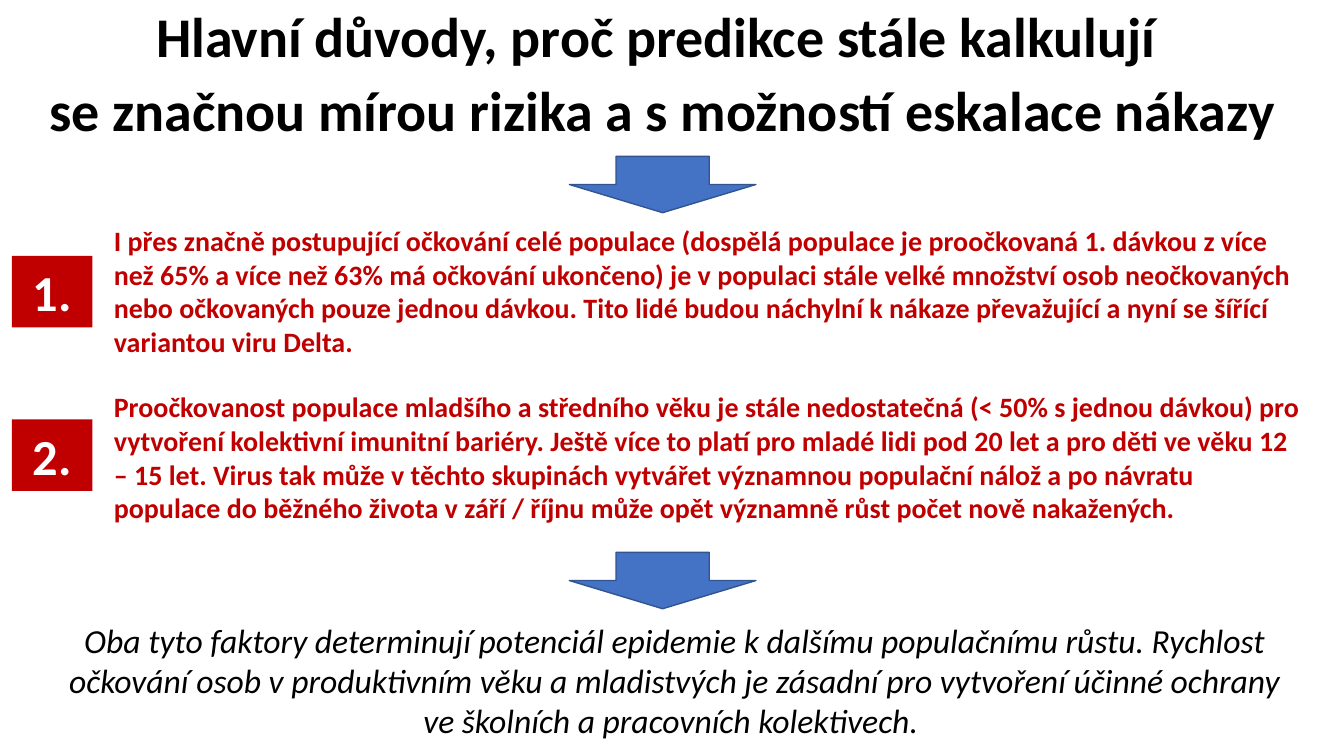
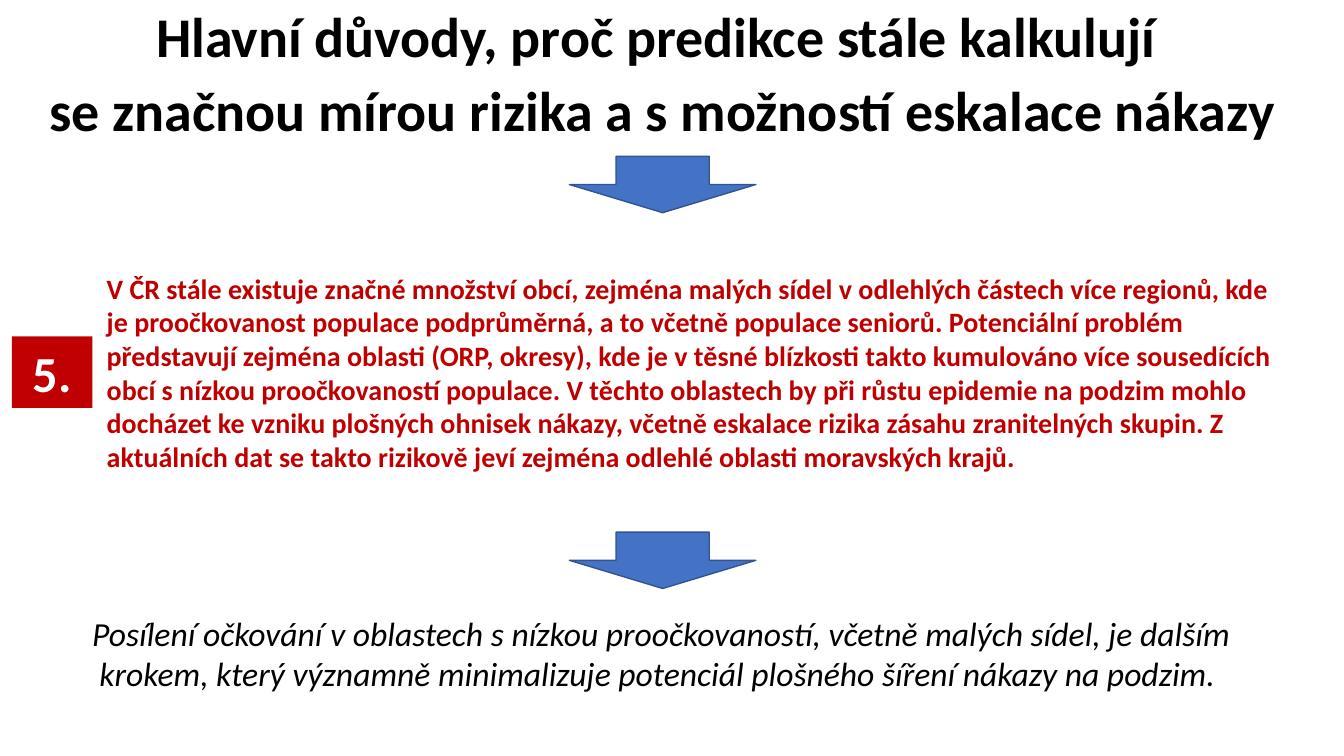
from dataclasses import dataclass

from pptx import Presentation
from pptx import util as u
from pptx.dml.color import RGBColor
from pptx.enum import shapes, text


@dataclass(frozen=True)
class Theme:
    font: str = "Calibri"
    black: RGBColor = RGBColor(0x00, 0x00, 0x00)
    white: RGBColor = RGBColor(0xFF, 0xFF, 0xFF)
    red: RGBColor = RGBColor(0xC0, 0x00, 0x00)
    arrow_fill: RGBColor = RGBColor(0x44, 0x72, 0xC4)
    arrow_line: RGBColor = RGBColor(0x32, 0x54, 0x91)
    title_size: int = 40
    badge_size: int = 36
    conclusion_size: int = 24
    reason_size: int = 20


# Shared wording; a line's final space counts in its centring
TITLE = ("Hlavní důvody, proč predikce stále kalkulují ",
         "se značnou mírou rizika a s možností eskalace nákazy")


class Deck:
    def __init__(self, theme):
        self.theme = theme
        self.prs = Presentation()
        self.prs.slide_width = u.Cm(33.87)
        self.prs.slide_height = u.Cm(19.05)
        self.s = None

    def new_slide(self):
        """Start a slide with the shared title and the arrow below it."""
        self.s = self.prs.slides.add_slide(self.prs.slide_layouts[6])
        self.title()
        self.arrow(3.94)

    def style(self, p, size, color, bold=False, italic=False, centred=True):
        p.alignment = text.PP_ALIGN.CENTER if centred else text.PP_ALIGN.LEFT
        p.font.name = self.theme.font
        p.font.size = u.Pt(size)
        p.font.color.rgb = color
        p.font.bold = bold
        p.font.italic = italic

    def text_box(self, box, lines, size, color, **look):
        tf = self.s.shapes.add_textbox(*map(u.Cm, box)).text_frame
        tf.word_wrap = True
        tf.text = "\n".join(lines)
        for p in tf.paragraphs:
            self.style(p, size, color, **look)
        return tf

    def shape(self, kind, box, fill):
        sp = self.s.shapes.add_shape(kind, *map(u.Cm, box))
        sp.shadow.inherit = False
        sp.fill.solid()
        sp.fill.fore_color.rgb = fill
        return sp

    def title(self):
        tf = self.text_box((0.56, 0.1, 32.26, 3.68), TITLE,
                           self.theme.title_size, self.theme.black, bold=True)
        for i, p in enumerate(tf.paragraphs):
            p.line_spacing = 0.9
            p.space_before = u.Pt(10 if i else 0)

    def arrow(self, top):
        sp = self.shape(shapes.MSO_SHAPE.DOWN_ARROW, (14.35, top, 4.7, 1.42),
                        self.theme.arrow_fill)
        sp.line.color.rgb = self.theme.arrow_line
        sp.line.width = u.Pt(1)

    def badge(self, top, label):
        sp = self.shape(shapes.MSO_SHAPE.RECTANGLE, (0.3, top, 2.03, 1.8),
                        self.theme.red)
        sp.line.fill.background()
        tf = sp.text_frame
        tf.vertical_anchor = text.MSO_ANCHOR.MIDDLE
        tf.text = label
        self.style(tf.paragraphs[0], self.theme.badge_size, self.theme.white,
                   bold=True)

    def reason(self, label, badge_top, left, top, height, words):
        self.badge(badge_top, label)
        self.text_box((left, top, 30.45, height), [words],
                      self.theme.reason_size, self.theme.red,
                      bold=True, centred=False)

    def conclusion(self, arrow_top, box, words):
        self.arrow(arrow_top)
        self.text_box(box, [words], self.theme.conclusion_size,
                      self.theme.black, italic=True)


def main():
    deck = Deck(Theme())

    # Slide 1: vaccination coverage
    deck.new_slide()
    deck.reason(
        "1.", 6.45, 2.62, 5.51, 3.68,
        "I přes značně postupující očkování celé populace (dospělá populace je "
        "proočkovaná 1. dávkou z více než 65% a více než 63% má očkování "
        "ukončeno) je v populaci stále velké množství osob neočkovaných nebo "
        "očkovaných pouze jednou dávkou. Tito lidé budou náchylní k nákaze "
        "převažující a nyní se šířící variantou viru Delta.")
    deck.reason(
        "2.", 10.57, 2.62, 9.7, 3.68,
        "Proočkovanost populace mladšího a středního věku je stále "
        "nedostatečná (< 50% s jednou dávkou) pro vytvoření kolektivní "
        "imunitní bariéry. Ještě více to platí pro mladé lidi pod 20 let a pro "
        "děti ve věku 12 – 15 let. Virus tak může v těchto skupinách vytvářet "
        "významnou populační nálož a po návratu populace do běžného života "
        "v září / říjnu může opět významně růst počet nově nakažených.")
    deck.conclusion(
        13.92, (1.14, 15.49, 31.72, 3.33),
        "Oba tyto faktory determinují potenciál epidemie k dalšímu populačnímu "
        "růstu. Rychlost očkování osob v produktivním věku a mladistvých je "
        "zásadní pro vytvoření účinné ochrany ve školních a pracovních "
        "kolektivech. ")

    # Slide 2: regional differences
    deck.new_slide()
    deck.reason(
        "5.", 8.48, 2.44, 6.71, 5.38,
        "V ČR stále existuje značné množství obcí, zejména malých sídel "
        "v odlehlých částech více regionů, kde je proočkovanost populace "
        "podprůměrná, a to včetně populace seniorů. Potenciální problém "
        "představují zejména oblasti (ORP, okresy), kde je v těsné blízkosti "
        "takto kumulováno více sousedících obcí s nízkou proočkovaností "
        "populace. V těchto oblastech by při růstu epidemie na podzim mohlo "
        "docházet ke vzniku plošných ohnisek nákazy, včetně eskalace rizika "
        "zásahu zranitelných skupin. Z aktuálních dat se takto rizikově jeví "
        "zejména odlehlé oblasti moravských krajů.")
    deck.conclusion(
        13.41, (1.32, 15.32, 30.68, 2.31),
        "Posílení očkování v oblastech s nízkou proočkovaností, včetně malých "
        "sídel, je dalším krokem, který významně minimalizuje potenciál "
        "plošného šíření nákazy na podzim. ")

    deck.prs.save("out.pptx")


if __name__ == "__main__":
    main()
